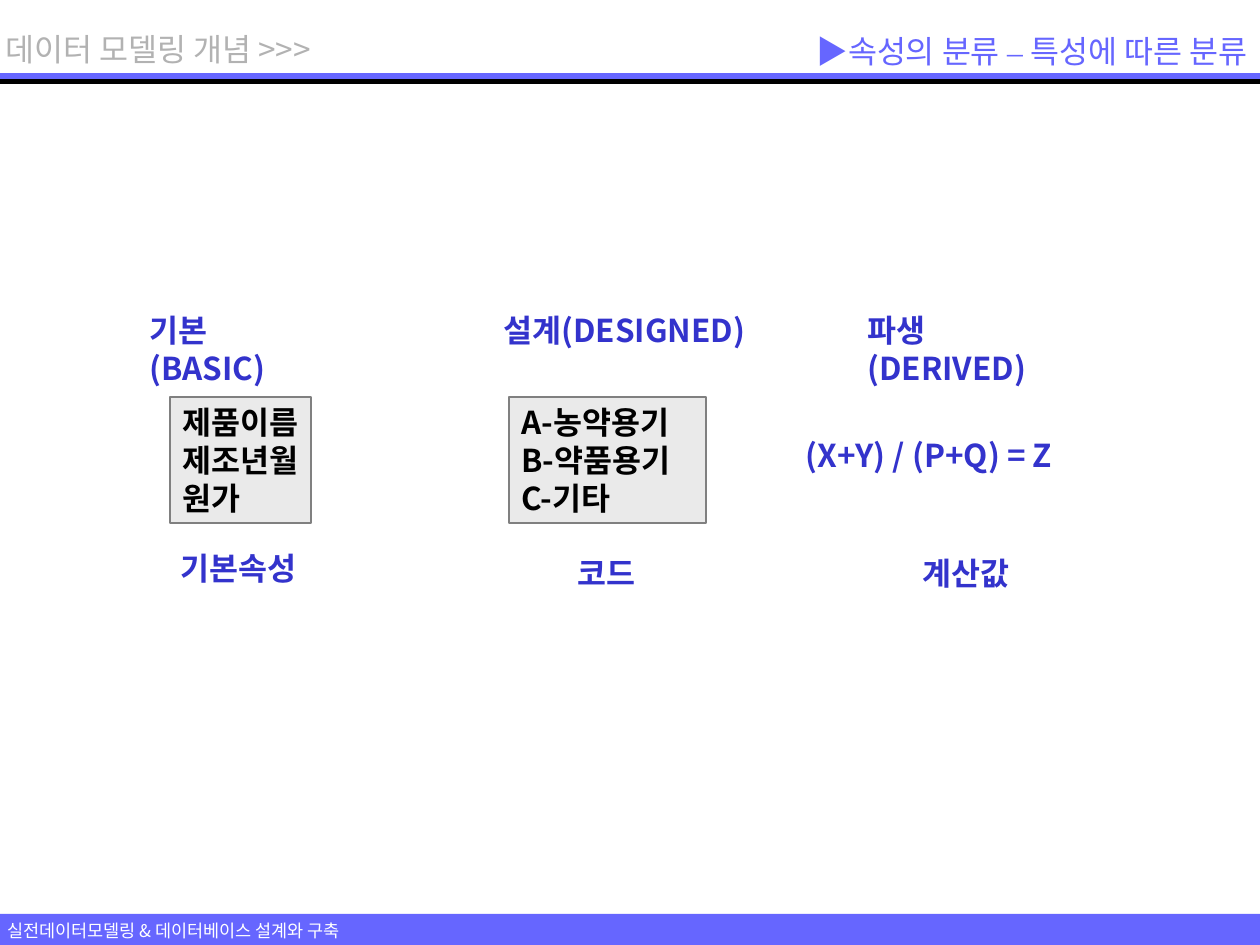
from lxml.etree import SubElement
from pptx import Presentation
from pptx.dml.color import RGBColor
from pptx.enum.shapes import MSO_CONNECTOR, MSO_SHAPE
from pptx.enum.text import MSO_ANCHOR, PP_ALIGN
from pptx.oxml.ns import qn
from pptx.util import Inches, Pt

PX_PER_INCH = 126
FONT = "Noto Sans CJK KR"
VIOLET, BLUE, BLACK, WHITE = "6666FF", "3333CC", "000000", "FFFFFF"
SILVER, GREY, PALE = "B2B2B2", "808080", "EAEAEA"


def px(n):
    return Inches(n / PX_PER_INCH)


def rgb(value):
    return RGBColor.from_string(value)


class SlideBuilder:
    """Holds the text style and the slide being drawn."""

    def __init__(self, slide):
        self.s = slide
        self.style = {"size": Pt(18), "bold": False}

    def bar(self, x, y, w, h, fill, line=None):
        sp = self.s.shapes.add_shape(MSO_SHAPE.RECTANGLE, px(x), px(y), px(w), px(h))
        sp.shadow.inherit = False
        sp.fill.solid()
        sp.fill.fore_color.rgb = rgb(fill)
        if line:
            sp.line.color.rgb = rgb(line)
            sp.line.width = Pt(0.75)
        else:
            sp.line.fill.background()
        return sp

    def rule(self, y, w, color=BLACK):
        c = self.s.shapes.add_connector(MSO_CONNECTOR.STRAIGHT, 0, px(y), px(w), px(y))
        c.line.color.rgb = rgb(color)
        c.line.width = Pt(0.75)
        SubElement(c._element.spPr, qn("a:effectLst"))

    def text(self, x, y, w, h, lines, color, **options):
        sp = self.s.shapes.add_textbox(px(x), px(y), px(w), px(h))
        self.fill_text(sp, lines, color, **options)

    def box(self, x, y, w, h, lines, wrap=True):
        sp = self.bar(x, y, w, h, PALE, GREY)
        self.fill_text(sp, lines, BLACK, wrap=wrap, bold=True)

    def fill_text(self, sp, lines, color, wrap=True, align=PP_ALIGN.LEFT,
                  anchor=MSO_ANCHOR.TOP, **changes):
        """Each line is a list of (text, font name) runs."""
        tf = sp.text_frame
        tf.word_wrap = wrap
        tf.vertical_anchor = anchor
        for i, runs in enumerate(lines):
            p = tf.add_paragraph() if i else tf.paragraphs[0]
            p.alignment = align
            for words, name in runs:
                r = p.add_run()
                r.text = words
                for key, value in {**self.style, **changes, "name": name}.items():
                    setattr(r.font, key, value)
                r.font.color.rgb = rgb(color)
                SubElement(r.font._element, qn("a:ea"), typeface=name)


def plain(*lines):
    return [[(line, FONT)] for line in lines]


def main():
    prs = Presentation()
    prs.slide_width, prs.slide_height = Inches(10), Inches(7.5)
    b = SlideBuilder(prs.slides.add_slide(prs.slide_layouts[6]))

    b.bar(0, 914, 1260, 31, VIOLET)
    b.bar(0, 73, 1260, 7, VIOLET)
    for y in (80, 81, 83):
        b.rule(y, 1260)
    b.text(-5, 914, 396, 34, plain("실전데이터모델링 & 데이터베이스 설계와 구축"),
           WHITE, size=Pt(10))
    b.text(-7, 24, 358, 50, plain("데이터 모델링 개념 >>>"), SILVER)
    title = [("▶속성의 분류 ", FONT), ("– ", "Times New Roman"), ("특성에 따른 분류", FONT)]
    b.text(630, 24, 630, 54, [title], VIOLET, align=PP_ALIGN.RIGHT,
           anchor=MSO_ANCHOR.MIDDLE)

    for x, w, heading in ((137, 190, "기본(BASIC)"), (491, 280, "설계(DESIGNED)"),
                          (855, 230, "파생(DERIVED)")):
        b.text(x, 305, w, 50, plain(heading), BLUE, bold=True)

    b.box(170, 397, 141, 126, plain("제품이름", "제조년월", "원가"), wrap=False)
    b.box(509, 397, 197, 126, plain("A-농약용기", "B-약품용기", "C-기타"))
    b.text(793, 430, 348, 50, plain("(X+Y) / (P+Q) = Z"), BLUE, bold=True)

    for x, y, w, label in ((168, 543, 141, "기본속성"), (565, 548, 83, "코드"),
                           (910, 548, 112, "계산값")):
        b.text(x, y, w, 50, plain(label), BLUE, wrap=False, bold=True)

    prs.save("out.pptx")


if __name__ == "__main__":
    main()
